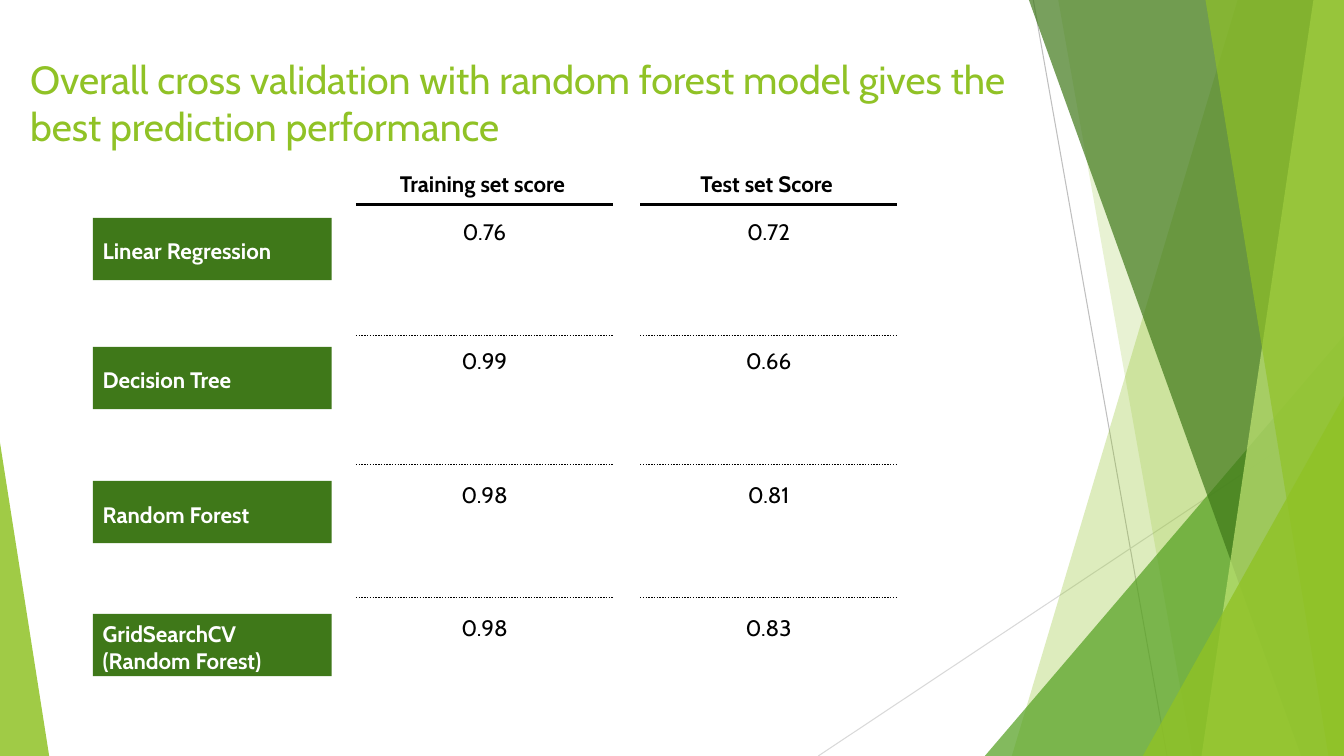
from lxml.etree import SubElement as Sub
from pptx import Presentation
from pptx.dml.color import RGBColor
from pptx.enum.dml import MSO_LINE
from pptx.enum.shapes import MSO_CONNECTOR as Conn, MSO_SHAPE as Kind
from pptx.enum.text import MSO_ANCHOR as Anchor, MSO_AUTO_SIZE as Auto, PP_ALIGN as Align
from pptx.oxml.ns import qn
from pptx.util import Cm, Pt

LIME = RGBColor(0x90, 0xC2, 0x26)
PALE = RGBColor(0xC0, 0xE4, 0x74)
GREEN = RGBColor(0x54, 0xA0, 0x21)
DARK = RGBColor(0x3F, 0x78, 0x19)
BLACK = RGBColor(0, 0, 0)
WHITE = RGBColor(0xFF, 0xFF, 0xFF)
GRAY = RGBColor(0xBF, 0xBF, 0xBF)
LIGHT = RGBColor(0xD9, 0xD9, 0xD9)

FONT = "Cabin"
WIDE, HIGH = 33.87, 19.05
SPAN = 6.48
COLS = [(8.97, "Training set score"), (16.13, "Test set Score")]
ROWS = [
    (5.49, "Linear Regression", ("0.76", "0.72")),
    (8.74, "Decision Tree", ("0.99", "0.66")),
    (12.12, "Random Forest", ("0.98", "0.81")),
    (15.47, "GridSearchCV (Random Forest)", ("0.98", "0.83")),
]
RULES = [8.46, 11.71, 15.06]


def paint(shape, color, alpha=100):
    shape.shadow.inherit = False
    shape.line.fill.background()
    shape.fill.solid()
    shape.fill.fore_color.rgb = color
    if alpha < 100:
        tint = shape.element.spPr.find(qn("a:solidFill"))[0]
        Sub(tint, qn("a:alpha"), val=str(alpha * 1000))


def band(shapes, top, foot, color, alpha):
    pen = shapes.build_freeform(Cm(top), 0)
    pen.add_line_segments(
        [(Cm(WIDE), 0), (Cm(WIDE), Cm(HIGH)), (Cm(foot), Cm(HIGH))], close=True)
    paint(pen.convert_to_shape(), color, alpha)


def wedge(shapes, left, top, width, tip, color, alpha):
    shape = shapes.add_shape(
        Kind.ISOSCELES_TRIANGLE, Cm(left), Cm(top), Cm(width), Cm(HIGH - top))
    shape.adjustments[0] = tip
    paint(shape, color, alpha)


def rule(shapes, start, end, color, weight, dash=None):
    line = shapes.add_connector(Conn.STRAIGHT, *map(Cm, start + end))
    line.line.color.rgb = color
    line.line.width = Pt(weight)
    if dash:
        line.line.dash_style = dash
    Sub(line.element.spPr, qn("a:effectLst"))


def write(frame, text, size, color, align=Align.LEFT, bold=False):
    frame.word_wrap = True
    frame.text = text
    para = frame.paragraphs[0]
    para.alignment = align
    font = para.runs[0].font
    font.name, font.size, font.bold = FONT, Pt(size), bold
    font.color.rgb = color


def label(shapes, box, text, size, color, align=Align.CENTER, bold=False):
    frame = shapes.add_textbox(*map(Cm, box)).text_frame
    frame.margin_left = frame.margin_right = 0
    frame.margin_top = frame.margin_bottom = 0
    frame.vertical_anchor = Anchor.TOP
    write(frame, text, size, color, align, bold)
    frame.auto_size = Auto.SHAPE_TO_FIT_TEXT


def model(shapes, top, name):
    shape = shapes.add_shape(Kind.RECTANGLE, Cm(2.34), Cm(top), Cm(6.02), Cm(1.57))
    paint(shape, DARK)
    frame = shape.text_frame
    frame.margin_left = frame.margin_right = Cm(0.25)
    frame.margin_top, frame.margin_bottom = Cm(0.1), 0
    frame.vertical_anchor = Anchor.MIDDLE
    write(frame, name, 16, WHITE, bold=True)


def decor(shapes):
    rule(shapes, (26.04, 0), (29.41, HIGH), GRAY, 0.75)
    rule(shapes, (WIDE, 10.24), (20.62, HIGH), LIGHT, 0.75)
    band(shapes, 31.19, 25.5, LIME, 30)
    band(shapes, 26.67, 30.05, LIME, 20)
    wedge(shapes, 24.82, 8.46, 9.05, 1, GREEN, 72)
    band(shapes, 25.93, 32.79, DARK, 70)
    band(shapes, 33.1, 30.28, PALE, 70)
    band(shapes, 30.38, 33.48, LIME, 65)
    wedge(shapes, 28.8, 9.98, 5.07, 1, LIME, 80)
    wedge(shapes, 0, 11.15, 1.24, 0, LIME, 85)


def scores(shapes):
    for left, head in COLS:
        label(shapes, (left, 4.29, 6.38, 0.69), head, 16, BLACK, bold=True)
        rule(shapes, (left, 5.16), (left + SPAN, 5.16), BLACK, 2.25)
        for y in RULES:
            rule(shapes, (left, y), (left + SPAN, y), BLACK, 1, MSO_LINE.ROUND_DOT)
    for top, name, values in ROWS:
        model(shapes, top, name)
        for (left, _), value in zip(COLS, values):
            label(shapes, (left, top, SPAN, 0.69), value, 16, BLACK)


def main():
    deck = Presentation()
    deck.slide_width, deck.slide_height = Cm(WIDE), Cm(HIGH)
    shapes = deck.slides.add_slide(deck.slide_layouts[6]).shapes
    decor(shapes)
    label(shapes, (0.76, 1.4, 26.01, 2.39),
          "Overall cross validation with random forest model gives the best"
          " prediction performance", 28, LIME, Align.LEFT)
    scores(shapes)
    deck.save("out.pptx")


if __name__ == "__main__":
    main()
